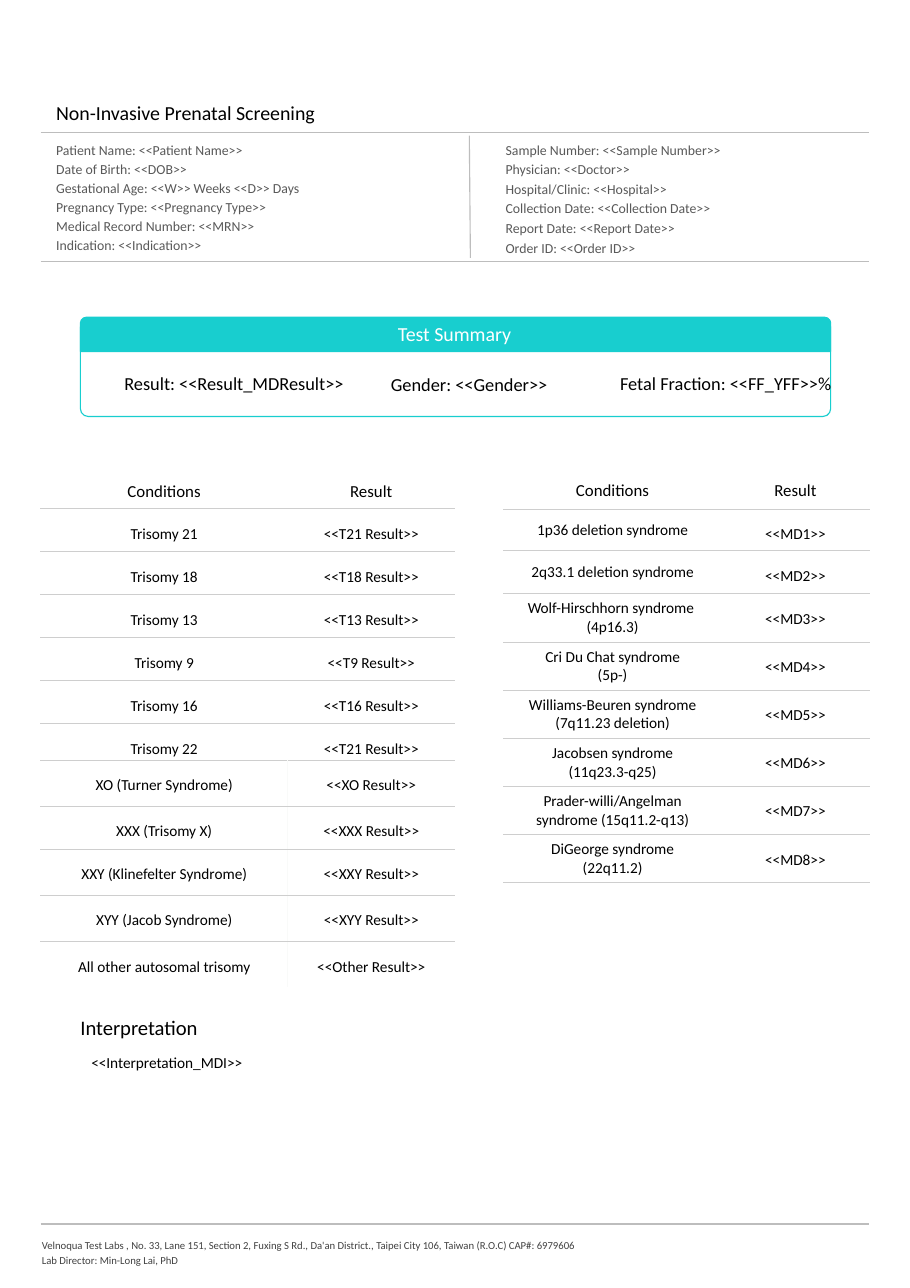
from dataclasses import dataclass

from lxml import etree
from pptx import Presentation
from pptx.dml.color import RGBColor
from pptx.enum.shapes import MSO_CONNECTOR, MSO_SHAPE
from pptx.enum.text import MSO_ANCHOR, MSO_AUTO_SIZE, PP_ALIGN
from pptx.oxml.ns import qn
from pptx.util import Inches, Pt

LEFT, CENTER = PP_ALIGN.LEFT, PP_ALIGN.CENTER
TOP, MIDDLE = MSO_ANCHOR.TOP, MSO_ANCHOR.MIDDLE
GROW = MSO_AUTO_SIZE.SHAPE_TO_FIT_TEXT
STRAIGHT = MSO_CONNECTOR.STRAIGHT
ROUND, ROUND_TOP = MSO_SHAPE.ROUNDED_RECTANGLE, MSO_SHAPE.ROUND_2_SAME_RECTANGLE

BLACK = RGBColor(0x00, 0x00, 0x00)
WHITE = RGBColor(0xFF, 0xFF, 0xFF)
GREY = RGBColor(0x59, 0x59, 0x59)
DARK_GREY = RGBColor(0x41, 0x41, 0x41)
RULE_GREY = RGBColor(0xBD, 0xBD, 0xBD)
ROW_GREY = RGBColor(0xCE, 0xCE, 0xCE)
FAINT = RGBColor(0xF9, 0xFA, 0xF9)
TEAL = RGBColor(0x18, 0xCE, 0xCF)
FONT = "Calibri"

Box = tuple[float, float, float, float]
TIGHT: Box = (0.01, 0.01, 0, 0)
HEADING: Box = (0, 0.02, 0, 0)
PADDED: Box = (0.1, 0.1, 0.1, 0.1)
NORMAL: Box = (0.1, 0.05, 0.1, 0.05)


@dataclass
class Label:
    at: Box
    lines: list[str]
    size: float
    color: RGBColor = BLACK
    insets: Box = NORMAL
    align: PP_ALIGN = LEFT
    spacing: float = 1.0
    gap: float = 0


@dataclass
class ResultTable:
    at: Box
    widths: list[float]
    heights: list[float]
    rows: list[tuple[str, str]]
    name_insets: Box
    name_anchor: MSO_ANCHOR
    name_spacing: float
    last_rule: RGBColor
    faint_from: int  # first row with a faint line between its cells


# Page header, patient details, interpretation and footer
PAGE_LABELS = [
    Label((0.5, 0.89, 3.74, 0.23), ["Non-Invasive Prenatal Screening"], 13, insets=(0.01, 0.02, 0, 0)),
    Label((0.5, 1.25, 3.13, 1.05), [
        "Patient Name: <<Patient Name>>", "Date of Birth: <<DOB>>",
        "Gestational Age: <<W>> Weeks <<D>> Days", "Pregnancy Type: <<Pregnancy Type>>",
        "Medical Record Number: <<MRN>>", "Indication: <<Indication>>",
    ], 9, GREY, TIGHT, spacing=1.15),
    Label((4.58, 1.25, 3.13, 1.06), [
        "Sample Number: <<Sample Number>>", "Physician: <<Doctor>>",
        "Hospital/Clinic: <<Hospital>>", "Collection Date: <<Collection Date>>",
        "Report Date: <<Report Date>>", "Order ID: <<Order ID>>",
    ], 9, GREY, TIGHT, spacing=1.15, gap=0.4),
    Label((0.73, 9.19, 1.28, 0.25), ["Interpretation"], 13.5, insets=HEADING),
    Label((0.73, 9.48, 6.81, 0.37), ["<<Interpretation_MDI>>"], 10, insets=PADDED),
    Label((0.37, 11.21, 5.97, 0.46), [
        "Velnoqua Test Labs , No. 33, Lane 151, Section 2, Fuxing S Rd., Da'an District., "
        "Taipei City 106, Taiwan (R.O.C) CAP#: 6979606",
        "Lab Director: Min-Long Lai, PhD",
    ], 7, DARK_GREY, TIGHT, spacing=1.19),
]

SUMMARY_LABELS = [
    Label((2.49, 2.82, 3.27, 0.42), ["Test Summary"], 13, WHITE, PADDED, CENTER),
    Label((1.03, 3.33, 2.32, 0.3), ["Result: <<Result_MDResult>>"], 12),
    Label((3.45, 3.34, 1.87, 0.3), ["Gender: <<Gender>>"], 12),
    Label((5.53, 3.33, 2.18, 0.3), ["Fetal Fraction: <<FF_YFF>>%"], 12),
]

RULES = [(0.37, y, 7.89, y) for y in (1.2, 2.37, 11.11)] + [(4.26, 1.23, 4.27, 2.34)]

TRISOMIES = ResultTable(
    (0.37, 4.25, 3.76, 4.68), [2.24, 1.52],
    [0.37] + [0.39] * 5 + [0.33, 0.42, 0.39] + [0.42] * 3,
    [("Trisomy 21", "<<T21 Result>>"), ("Trisomy 18", "<<T18 Result>>"),
     ("Trisomy 13", "<<T13 Result>>"), ("Trisomy 9", "<<T9 Result>>"),
     ("Trisomy 16", "<<T16 Result>>"), ("Trisomy 22", "<<T21 Result>>"),
     ("XO (Turner Syndrome)", "<<XO Result>>"), ("XXX (Trisomy X)", "<<XXX Result>>"),
     ("XXY (Klinefelter Syndrome)", "<<XXY Result>>"),
     ("XYY (Jacob Syndrome)", "<<XYY Result>>"),
     ("All other autosomal trisomy", "<<Other Result>>")],
    (0, 0.06, 0, 0), TOP, 1.5, WHITE, 7)

DELETIONS = [
    "1p36 deletion syndrome", "2q33.1 deletion syndrome",
    "Wolf-Hirschhorn syndrome \n(4p16.3)", "Cri Du Chat syndrome\n(5p-)",
    "Williams-Beuren syndrome (7q11.23 deletion)", "Jacobsen syndrome\n(11q23.3-q25)",
    "Prader-willi/Angelman syndrome (15q11.2-q13)", "DiGeorge syndrome\n(22q11.2)",
]
MICRODELETIONS = ResultTable(
    (4.57, 4.24, 3.32, 3.75), [1.98, 1.34],
    [0.38, 0.38, 0.39, 0.39, 0.4, 0.39, 0.32, 0.41, 0.38],
    [(name, f"<<MD{n}>>") for n, name in enumerate(DELETIONS, 1)],
    NORMAL, MIDDLE, 1.0, ROW_GREY, 99)


def set_margins(target, insets: Box) -> None:
    (target.margin_left, target.margin_top,
     target.margin_right, target.margin_bottom) = map(Inches, insets)


def style(p, size: float, color: RGBColor, align: PP_ALIGN, spacing: float) -> None:
    p.alignment, p.line_spacing = align, spacing
    p.font.name, p.font.size = FONT, Pt(size)
    p.font.color.rgb = color


def add_label(s, label: Label) -> None:
    tf = s.shapes.add_textbox(*map(Inches, label.at)).text_frame
    tf.word_wrap, tf.auto_size = True, GROW
    set_margins(tf, label.insets)
    tf.text = "\n".join(label.lines)
    for i, p in enumerate(tf.paragraphs):
        style(p, label.size, label.color, label.align, label.spacing)
        if i and label.gap:
            p.space_before = Pt(label.gap)


def add_rule(s, ends: Box) -> None:
    line = s.shapes.add_connector(STRAIGHT, *map(Inches, ends))
    line.line.color.rgb, line.line.width = RULE_GREY, Pt(0.75)
    etree.SubElement(line._element.spPr, qn("a:effectLst"))


def add_panel(s, kind: MSO_SHAPE, at: Box, corners: list[float], filled: bool) -> None:
    sp = s.shapes.add_shape(kind, *map(Inches, at))
    sp.shadow.inherit = False
    for i, corner in enumerate(corners):
        sp.adjustments[i] = corner
    if filled:
        sp.fill.solid()
        sp.fill.fore_color.rgb = TEAL
    else:
        sp.fill.background()
    sp.line.color.rgb, sp.line.width = TEAL, Pt(0.75)


def set_borders(cell, left: RGBColor, right: RGBColor, top: RGBColor, bottom: RGBColor) -> None:
    tc_pr = cell._tc.get_or_add_tcPr()
    for side, color in zip("LRTB", (left, right, top, bottom)):
        ln = etree.SubElement(tc_pr, qn(f"a:ln{side}"), w=str(Pt(0.75)))
        fill = etree.SubElement(ln, qn("a:solidFill"))
        etree.SubElement(fill, qn("a:srgbClr"), val=str(color))


def add_result_table(s, spec_table: ResultTable) -> None:
    rows = [("Conditions", "Result")] + spec_table.rows
    table = s.shapes.add_table(len(rows), 2, *map(Inches, spec_table.at)).table
    for column, width in zip(table.columns, spec_table.widths):
        column.width = Inches(width)
    for i, (row, height) in enumerate(zip(rows, spec_table.heights)):
        table.rows[i].height = Inches(height)
        top = ROW_GREY if i else WHITE
        bottom = spec_table.last_rule if i == len(rows) - 1 else ROW_GREY
        divider = FAINT if i >= spec_table.faint_from else WHITE
        for j, text in enumerate(row):
            cell = table.cell(i, j)
            size, insets, anchor, spacing = 10, (0, 0.06, 0, 0), TOP, 1.5
            if i == 0:
                size, insets, spacing = 11, (0, 0.12, 0, 0), 1.0
            elif j == 0:
                insets, anchor = spec_table.name_insets, spec_table.name_anchor
                spacing = spec_table.name_spacing
            cell.text, cell.vertical_anchor = text, anchor
            set_margins(cell, insets)
            for p in cell.text_frame.paragraphs:
                style(p, size, BLACK, CENTER, spacing)
            set_borders(cell, divider if j else WHITE, WHITE if j else divider, top, bottom)
            cell.fill.solid()
            cell.fill.fore_color.rgb = WHITE


def main() -> None:
    prs = Presentation()
    prs.slide_width, prs.slide_height = Inches(8.26), Inches(11.69)
    s = prs.slides.add_slide(prs.slide_layouts[6])
    for result_table in (TRISOMIES, MICRODELETIONS):
        add_result_table(s, result_table)
    # Test summary panel
    add_panel(s, ROUND, (0.73, 2.9, 6.81, 0.88), [0.08], False)
    add_panel(s, ROUND_TOP, (0.73, 2.88, 6.81, 0.31), [0.17, 0], True)
    for ends in RULES:
        add_rule(s, ends)
    for label in PAGE_LABELS + SUMMARY_LABELS:
        add_label(s, label)
    prs.save("out.pptx")


if __name__ == "__main__":
    main()
